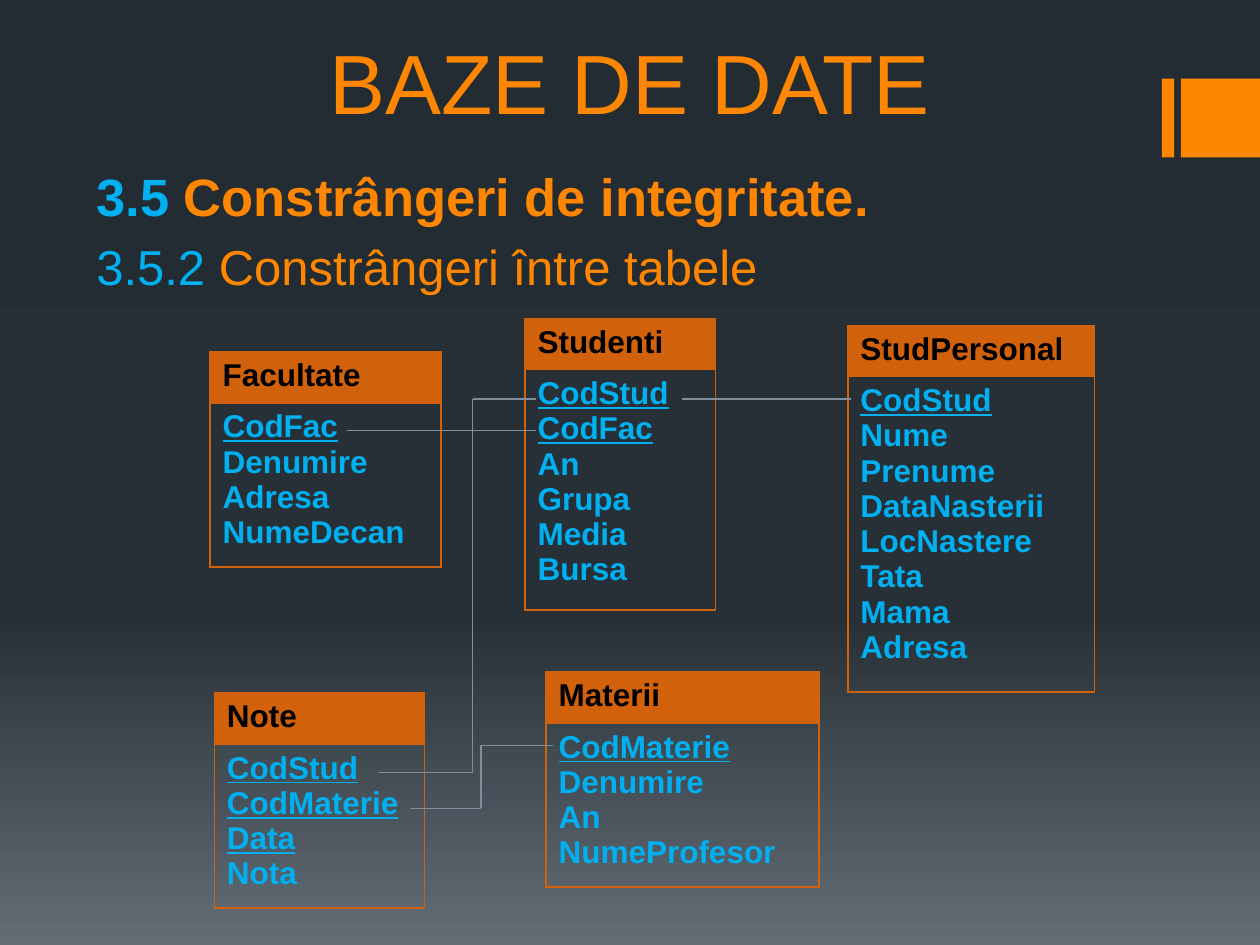
from copy import deepcopy
from lxml.etree import SubElement
from pptx import Presentation
from pptx.dml.color import RGBColor
from pptx.enum.shapes import MSO_CONNECTOR, MSO_SHAPE
from pptx.enum.text import MSO_ANCHOR, PP_ALIGN
from pptx.oxml.ns import qn
from pptx.util import Pt

ORANGE, BLUE, RUST, GREY, BLACK = "FF8600", "00B0F0", "D2610C", "838D9B", "000000"


def color(value):
    return RGBColor.from_string(value)


def style(span, size, value, bold=False, underline=False):
    span.font.name = "Arial"
    span.font.size = Pt(size)
    span.font.color.rgb = color(value)
    span.font.bold = bold
    span.font.underline = underline


deck = Presentation()
deck.slide_width, deck.slide_height = Pt(720), Pt(540)
page = deck.slides.add_slide(deck.slide_layouts[6])

# Background gradient, top to bottom
backdrop = page.background.fill
backdrop.gradient()
backdrop.gradient_angle = 270
stop_list = next(page.element.iter(qn("a:gsLst")))
stop_list.insert(1, deepcopy(stop_list[0]))
stops = [(0, "242C33"), (0.65, "273037"), (1, "636D76")]
for stop, (position, value) in zip(backdrop.gradient_stops, stops):
    stop.position = position
    stop.color.rgb = color(value)

# Orange bars at the right edge
for left, width in [(664, 7), (674.75, 45.25)]:
    bar = page.shapes.add_shape(MSO_SHAPE.RECTANGLE, Pt(left), Pt(45), Pt(width), Pt(45))
    bar.shadow.inherit = False
    bar.fill.solid()
    bar.fill.fore_color.rgb = color(ORANGE)
    bar.line.fill.background()

# Title
box = page.shapes.add_textbox(Pt(54), Pt(0), Pt(612), Pt(78.5))
box.text_frame.word_wrap = True
box.text_frame.vertical_anchor = MSO_ANCHOR.BOTTOM
box.text_frame.text = "BAZE DE DATE"
title = box.text_frame.paragraphs[0]
title.alignment = PP_ALIGN.CENTER
style(title.runs[0], 48, ORANGE)

# Section headings: blue number, orange name
box = page.shapes.add_textbox(Pt(48), Pt(90), Pt(624), Pt(402))
box.text_frame.word_wrap = True
headings = [
    ("3.5 ", "Constrângeri de integritate.", 30, True, PP_ALIGN.LEFT),
    ("3.5.2 ", "Constrângeri între tabele", 28, False, PP_ALIGN.JUSTIFY),
]
box.text_frame.text = "\n".join("" for heading in headings)
for para, (number, name, size, bold, alignment) in zip(box.text_frame.paragraphs, headings):
    para.alignment = alignment
    para.space_before = Pt(size * 0.2)
    for words, value in [(number, BLUE), (name, ORANGE)]:
        span = para.add_run()
        span.text = words
        style(span, size, value, bold)

# Database tables: name, left, top, width, height, key count, fields
HEADER = 29.25
entities = [
    ("Studenti", 300, 182, 109, 166.5, 2,
     ["CodStud", "CodFac", "An", "Grupa", "Media", "Bursa"]),
    ("Materii", 312, 384, 156, 123, 1,
     ["CodMaterie", "Denumire", "An", "NumeProfesor"]),
    ("Note", 122.5, 396, 120, 123, 3,
     ["CodStud", "CodMaterie", "Data", "Nota"]),
    ("StudPersonal", 484.5, 186, 141, 209.5, 1,
     ["CodStud", "Nume", "Prenume", "DataNasterii", "LocNastere", "Tata", "Mama", "Adresa"]),
    ("Facultate", 120, 201, 132, 123, 1,
     ["CodFac", "Denumire", "Adresa", "NumeDecan"]),
]
for name, left, top, width, height, keys, fields in entities:
    table = page.shapes.add_table(2, 1, Pt(left), Pt(top), Pt(width), Pt(height)).table
    table.first_row = table.horz_banding = False
    table.rows[0].height, table.rows[1].height = Pt(HEADER), Pt(height - HEADER)
    header, body = table.cell(0, 0), table.cell(1, 0)
    header.text_frame.text = name
    body.text_frame.text = "\n".join(fields)
    style(header.text_frame.paragraphs[0].runs[0], 18, BLACK, bold=True)
    for index, para in enumerate(body.text_frame.paragraphs):
        style(para.runs[0], 18, BLUE, bold=True, underline=index < keys)
    for cell in (header, body):
        properties = cell._tc.get_or_add_tcPr()
        for side in ("a:lnL", "a:lnR", "a:lnT", "a:lnB"):
            border = SubElement(properties, qn(side), w=str(Pt(1)))
            paint = SubElement(border, qn("a:solidFill"))
            SubElement(paint, qn("a:srgbClr"), val=RUST)
    header.fill.solid()
    header.fill.fore_color.rgb = color(RUST)
    body.fill.background()

# Links between keys, each a chain of points
links = [
    [(306, 246), (198, 246)],
    [(390, 228), (486, 228)],
    [(306, 228), (270, 228), (270, 441.5), (216, 441.5)],
    [(316, 426), (275, 426), (275, 462), (234, 462)],
]
for points in links:
    for start, end in zip(points, points[1:]):
        link = page.shapes.add_connector(
            MSO_CONNECTOR.STRAIGHT, *[Pt(value) for value in start + end])
        link.line.color.rgb = color(GREY)
        link.line.width = Pt(1)
        SubElement(link._element.spPr, qn("a:effectLst"))

deck.save("out.pptx")
